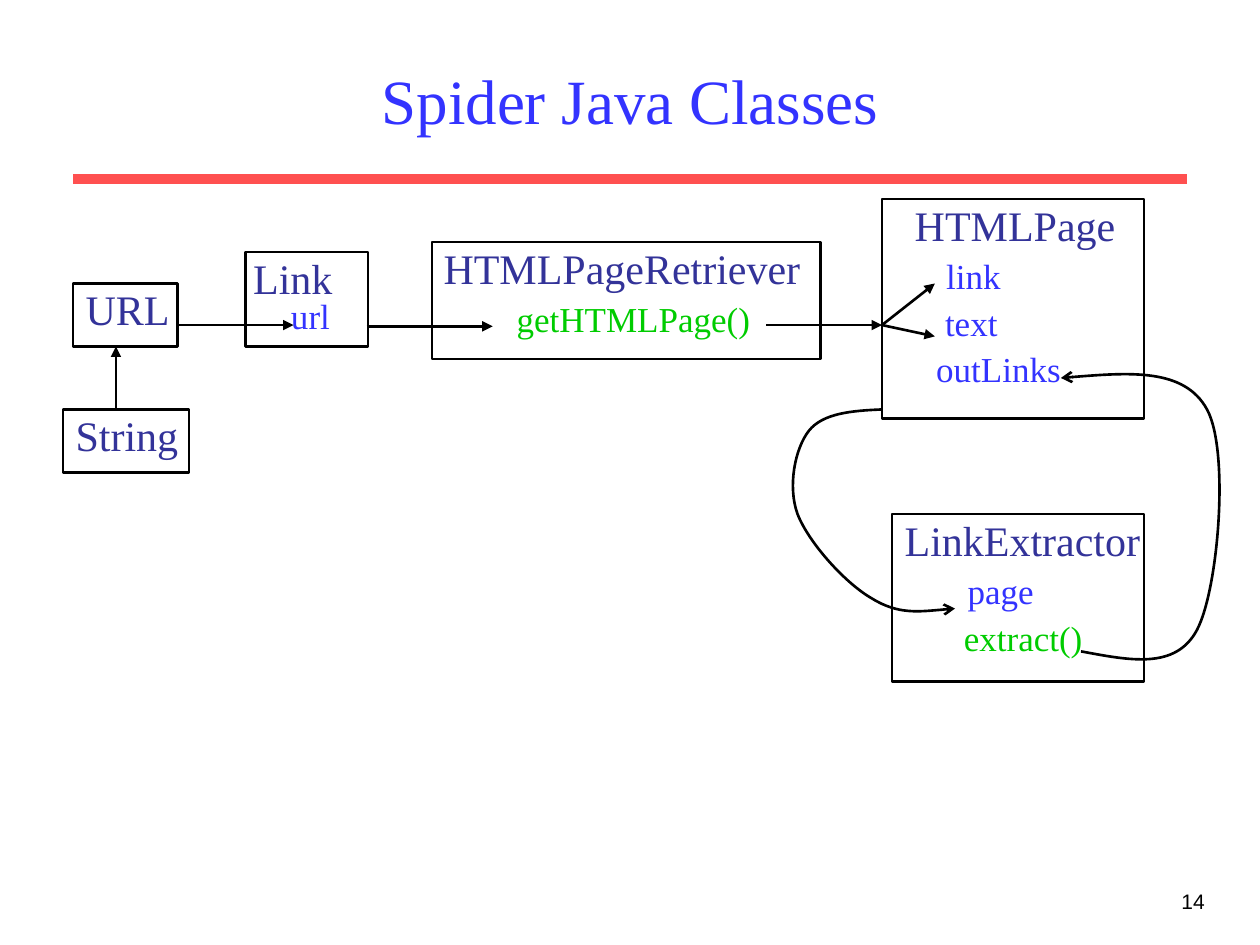
from dataclasses import dataclass

from lxml.etree import SubElement
from pptx import Presentation
from pptx.dml.color import RGBColor
from pptx.enum.shapes import MSO_CONNECTOR, MSO_SHAPE
from pptx.enum.text import MSO_ANCHOR, MSO_AUTO_SIZE, PP_ALIGN
from pptx.oxml.ns import qn
from pptx.util import Inches, Pt


@dataclass(frozen=True)
class Theme:
    serif: str = "Times New Roman"
    sans: str = "Arial"
    title: tuple = (36, "3333FF")
    class_name: tuple = (24, "333399")
    field: tuple = (20, "3333FF")
    method: tuple = (20, "00CC00")
    number: tuple = (12, "000000")
    ink: str = "000000"
    rule: str = "FF5050"
    line_width: float = 1.5
    rule_width: float = 6


THEME = Theme()

# Class boxes: (left, top, width, height), then rows of (text, style, indent)
CLASSES = [
    ((3.43, 1.92, 3.08, 0.93), [("HTMLPageRetriever", THEME.class_name, 0.09),
                                ("getHTMLPage()", THEME.method, 0.67)]),
    ((7.08, 4.08, 2, 1.33), [("LinkExtractor", THEME.class_name, 0.1),
                             ("page", THEME.field, 0.6),
                             ("extract()", THEME.method, 0.57)]),
    ((0.5, 3.25, 1, 0.5), [("String", THEME.class_name, 0.1)]),
    ((1.95, 2, 0.97, 0.75), [("Link", THEME.class_name, 0.06)]),
    ((0.58, 2.25, 0.83, 0.5), [("URL", THEME.class_name, 0.1)]),
    ((7, 1.58, 2.08, 1.74), [("HTMLPage", THEME.class_name, 0.26),
                             ("link", THEME.field, 0.51),
                             ("text", THEME.field, 0.5),
                             ("outLinks", THEME.field, 0.43)]),
]
URL_FIELD = ((1.95, 2.33, 0.97, 0.4), [("url", THEME.field, 0.36)])

ARROWS = [
    ((2.91, 2.59), (3.91, 2.59)),
    ((1.42, 2.58), (2.33, 2.58)),
    ((0.92, 3.25), (0.92, 2.75)),
    ((6.08, 2.58), (7, 2.58)),
    ((7, 2.58), (7.42, 2.25)),
    ((7, 2.58), (7.42, 2.67)),
]

# Bezier curves: a start point, then three points for each segment
CURVES = [
    [(7, 3.25), (6.76, 3.26), (6.53, 3.28), (6.42, 3.42),
     (6.31, 3.56), (6.25, 3.86), (6.33, 4.08),
     (6.42, 4.31), (6.71, 4.63), (6.92, 4.75),
     (7.13, 4.88), (7.35, 4.85), (7.58, 4.83)],
    [(8.58, 5.17), (8.96, 5.24), (9.33, 5.32), (9.5, 5),
     (9.67, 4.68), (9.76, 3.58), (9.58, 3.25),
     (9.4, 2.92), (8.91, 2.96), (8.42, 3)],
]


def apply_format(target, values):
    for name, value in values.items():
        setattr(target, name, value)


def write(paragraph, text, style, font=THEME.serif):
    size, color = style
    run = paragraph.add_run()
    run.text = text
    apply_format(run.font, {"size": Pt(size), "name": font})
    run.font.color.rgb = RGBColor.from_string(color)


def set_line(shape, color=THEME.ink, width=THEME.line_width, head=None):
    shape.line.color.rgb = RGBColor.from_string(color)
    shape.line.width = Pt(width)
    if head:
        SubElement(shape.line._get_or_add_ln(), qn("a:tailEnd"), type=head)


def add_line(slide, start, end, **line):
    points = [Inches(value) for value in (*start, *end)]
    connector = slide.shapes.add_connector(MSO_CONNECTOR.STRAIGHT, *points)
    set_line(connector, **line)
    SubElement(connector._element.spPr, qn("a:effectLst"))


def add_rows(slide, box, rows):
    """Stack left-aligned rows from the top of the box."""
    frame = slide.shapes.add_textbox(*map(Inches, box)).text_frame
    apply_format(frame, {"word_wrap": True, "margin_left": 0, "margin_right": 0})
    for index, (text, style, indent) in enumerate(rows):
        paragraph = frame.add_paragraph() if index else frame.paragraphs[0]
        apply_format(paragraph, {"line_spacing": 0.9, "space_before": Pt(style[0] / 4)})
        paragraph._p.get_or_add_pPr().set("marL", str(Inches(indent)))
        write(paragraph, text, style)


def add_class(slide, box, rows):
    add_rows(slide, box, rows)
    outline = slide.shapes.add_shape(MSO_SHAPE.RECTANGLE, *map(Inches, box))
    outline.shadow.inherit = False
    outline.fill.background()
    set_line(outline)


def add_curve(slide, points):
    start, *rest = [(Inches(x), Inches(y)) for x, y in points]
    builder = slide.shapes.build_freeform(*start)
    builder.add_line_segments(rest, close=False)
    curve = builder.convert_to_shape()
    curve.shadow.inherit = False
    curve.fill.background()
    set_line(curve, head="arrow")
    # Join each three straight steps into one cubic segment
    steps = list(curve._element.iter(qn("a:lnTo")))
    for index in range(0, len(steps), 3):
        first, *others = steps[index:index + 3]
        first.tag = qn("a:cubicBezTo")
        for step in others:
            first.append(step[0])
            step.getparent().remove(step)


def add_header(slide, box, text):
    title = slide.shapes.title
    apply_format(title, dict(zip(("left", "top", "width", "height"), map(Inches, box))))
    apply_format(title.text_frame, {"word_wrap": True, "auto_size": MSO_AUTO_SIZE.NONE,
                                    "vertical_anchor": MSO_ANCHOR.MIDDLE})
    paragraph = title.text_frame.paragraphs[0]
    paragraph.alignment = PP_ALIGN.CENTER
    write(paragraph, text, THEME.title)
    left, top, width, height = box
    rule_top = top + height + 0.09
    add_line(slide, (left - 0.17, rule_top), (left + width + 0.17, rule_top),
             color=THEME.rule, width=THEME.rule_width)


def add_number(slide, box, text):
    frame = slide.shapes.add_textbox(*map(Inches, box)).text_frame
    frame.word_wrap = True
    frame.paragraphs[0].alignment = PP_ALIGN.RIGHT
    write(frame.paragraphs[0], text, THEME.number, THEME.sans)


def main():
    presentation = Presentation()
    apply_format(presentation, {"slide_width": Inches(10), "slide_height": Inches(7.5)})
    slide = presentation.slides.add_slide(presentation.slide_layouts[5])

    # Title, rule and slide number
    add_header(slide, (0.75, 0.25, 8.5, 1.08), "Spider Java Classes")
    add_number(slide, (7.58, 7, 2.08, 0.5), "14")

    # Class diagram
    for box, rows in CLASSES:
        add_class(slide, box, rows)
    add_rows(slide, *URL_FIELD)
    for start, end in ARROWS:
        add_line(slide, start, end, head="triangle")
    for points in CURVES:
        add_curve(slide, points)

    presentation.save("out.pptx")


if __name__ == "__main__":
    main()
